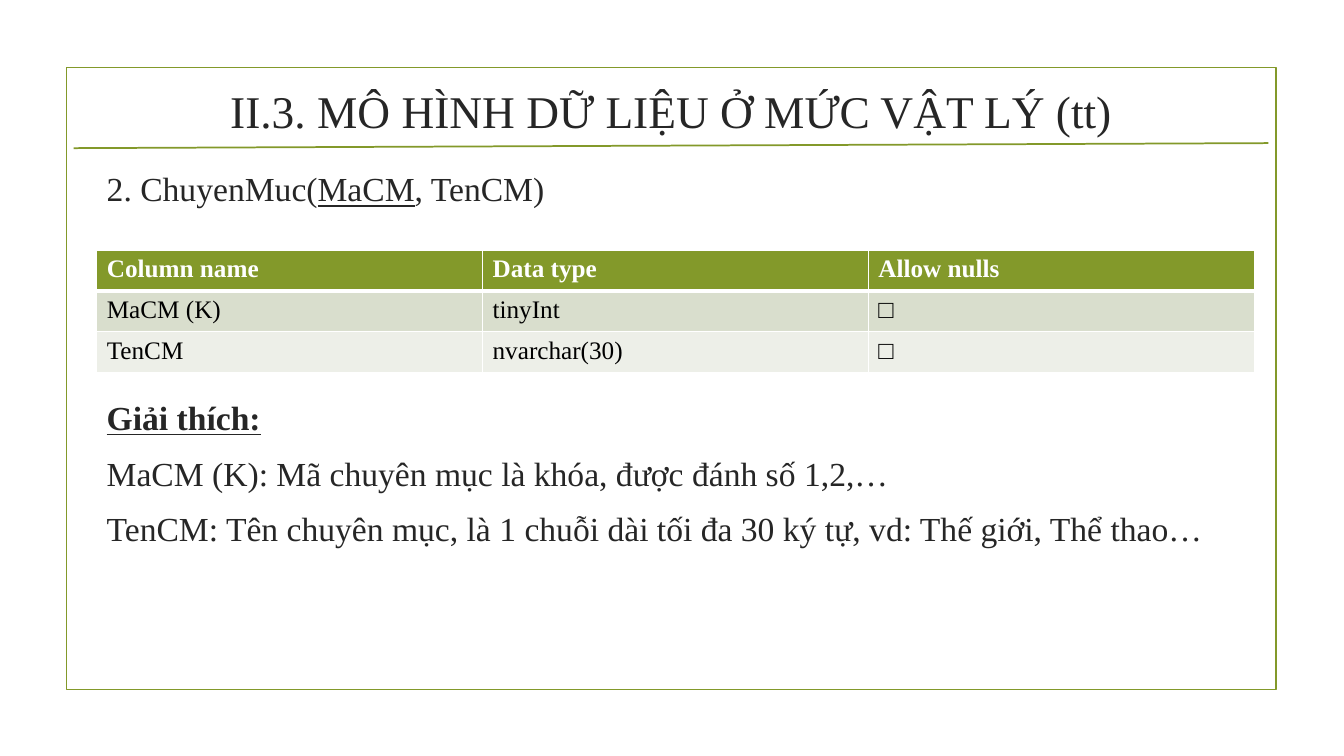
from lxml.etree import SubElement
from pptx import Presentation
from pptx.dml.color import RGBColor
from pptx.enum.shapes import MSO_CONNECTOR as Connector, MSO_SHAPE as Shape
from pptx.enum.text import MSO_ANCHOR as Anchor, PP_ALIGN as Align
from pptx.oxml.ns import qn
from pptx.util import Inches, Pt

COLORS = {
    "olive": "83992A", "ink": "262626", "white": "FFFFFF", "black": "000000",
    "band_dark": "D9DECD", "band_light": "EDEFE8",
}
FONT = "Times New Roman"
LEFT, WIDTH = 0.96, 11.48
COLUMNS = [
    ["Column name", "MaCM (K)", "TenCM"],
    ["Data type", "tinyInt", "nvarchar(30)"],
    ["Allow nulls", "□", "□"],
]
ROW_STYLES = [("olive", "white", True), ("band_dark", "black", False), ("band_light", "black", False)]
RELATION = [[("2. ChuyenMuc(", {}), ("MaCM", {"underline": True}), (", TenCM)", {})]]
EXPLANATION = [
    [("Giải thích:", {"bold": True, "underline": True})],
    [("MaCM (K): Mã chuyên mục là khóa, được đánh số 1,2,…", {})],
    [("TenCM: Tên chuyên mục, là 1 chuỗi dài tối đa 30 ký tự, vd: Thế giới, Thể thao…", {})],
]


def rgb(name):
    return RGBColor.from_string(COLORS[name])


def write(paragraph, words, size, color, **formats):
    run = paragraph.add_run()
    run.text = words
    run.font.color.rgb = rgb(color)
    for key, value in {"name": FONT, "size": Pt(size), **formats}.items():
        setattr(run.font, key, value)


def add_text_frame(slide, box):
    frame = slide.shapes.add_textbox(*map(Inches, box)).text_frame
    frame.word_wrap = True
    return frame


def add_frame(slide, box):
    frame = slide.shapes.add_shape(Shape.RECTANGLE, *map(Inches, box))
    frame.shadow.inherit = False
    frame.fill.background()
    frame.line.color.rgb = rgb("olive")
    frame.line.width = Pt(1.25)


def add_heading(slide, box, words):
    left, top, width, height = box
    rule = slide.shapes.add_connector(
        Connector.STRAIGHT, Inches(left), Inches(top + height + 0.04),
        Inches(left + width), Inches(top + height - 0.01))
    rule.line.color.rgb = rgb("olive")
    rule.line.width = Pt(1.25)
    SubElement(rule._element.spPr, qn("a:effectLst"))
    frame = add_text_frame(slide, box)
    frame.vertical_anchor = Anchor.MIDDLE
    frame.paragraphs[0].alignment = Align.CENTER
    write(frame.paragraphs[0], words, 32.4, "ink")


def add_body(slide, box, paragraphs):
    frame = add_text_frame(slide, box)
    for index, pieces in enumerate(paragraphs):
        paragraph = frame.add_paragraph() if index else frame.paragraphs[0]
        before = SubElement(paragraph._p.get_or_add_pPr(), qn("a:spcBef"))
        SubElement(before, qn("a:spcPct"), val="20000")
        paragraph.space_after = Pt(6)
        for words, formats in pieces:
            write(paragraph, words, 24, "ink", **formats)


def add_border(cell, side, points):
    border = SubElement(cell._tc.get_or_add_tcPr(), qn(f"a:ln{side}"), w=str(Pt(points)))
    fill = SubElement(border, qn("a:solidFill"))
    SubElement(fill, qn("a:srgbClr"), val=COLORS["white"])


def add_schema(slide, box, columns):
    rows = len(ROW_STYLES)
    table = slide.shapes.add_table(rows, len(columns), *map(Inches, box)).table
    for c, column in enumerate(columns):
        table.columns[c].width = Inches(box[2] / len(columns))
        for r, (words, (fill, color, bold)) in enumerate(zip(column, ROW_STYLES)):
            table.rows[r].height = Inches(box[3] / rows)
            cell = table.cell(r, c)
            widths = {"L": 1, "R": 1, "T": 3 if r == 1 else 1, "B": 3 if r == 0 else 1}
            for side, points in widths.items():
                add_border(cell, side, points)
            cell.fill.solid()
            cell.fill.fore_color.rgb = rgb(fill)
            write(cell.text_frame.paragraphs[0], words, 18, color, bold=bold)


def main():
    deck = Presentation()
    deck.slide_width, deck.slide_height = Inches(13.33), Inches(7.5)
    slide = deck.slides.add_slide(deck.slide_layouts[6])
    add_frame(slide, (0.66, 0.67, 12, 6.17))
    add_heading(slide, (0.73, 0.76, 11.85, 0.67), "II.3. MÔ HÌNH DỮ LIỆU Ở MỨC VẬT LÝ (tt)")
    add_schema(slide, (LEFT, 2.48, WIDTH, 1.22), COLUMNS)
    add_body(slide, (LEFT, 1.62, WIDTH, 0.66), RELATION)
    add_body(slide, (LEFT, 3.89, WIDTH, 1.97), EXPLANATION)
    deck.save("out.pptx")


if __name__ == "__main__":
    main()
